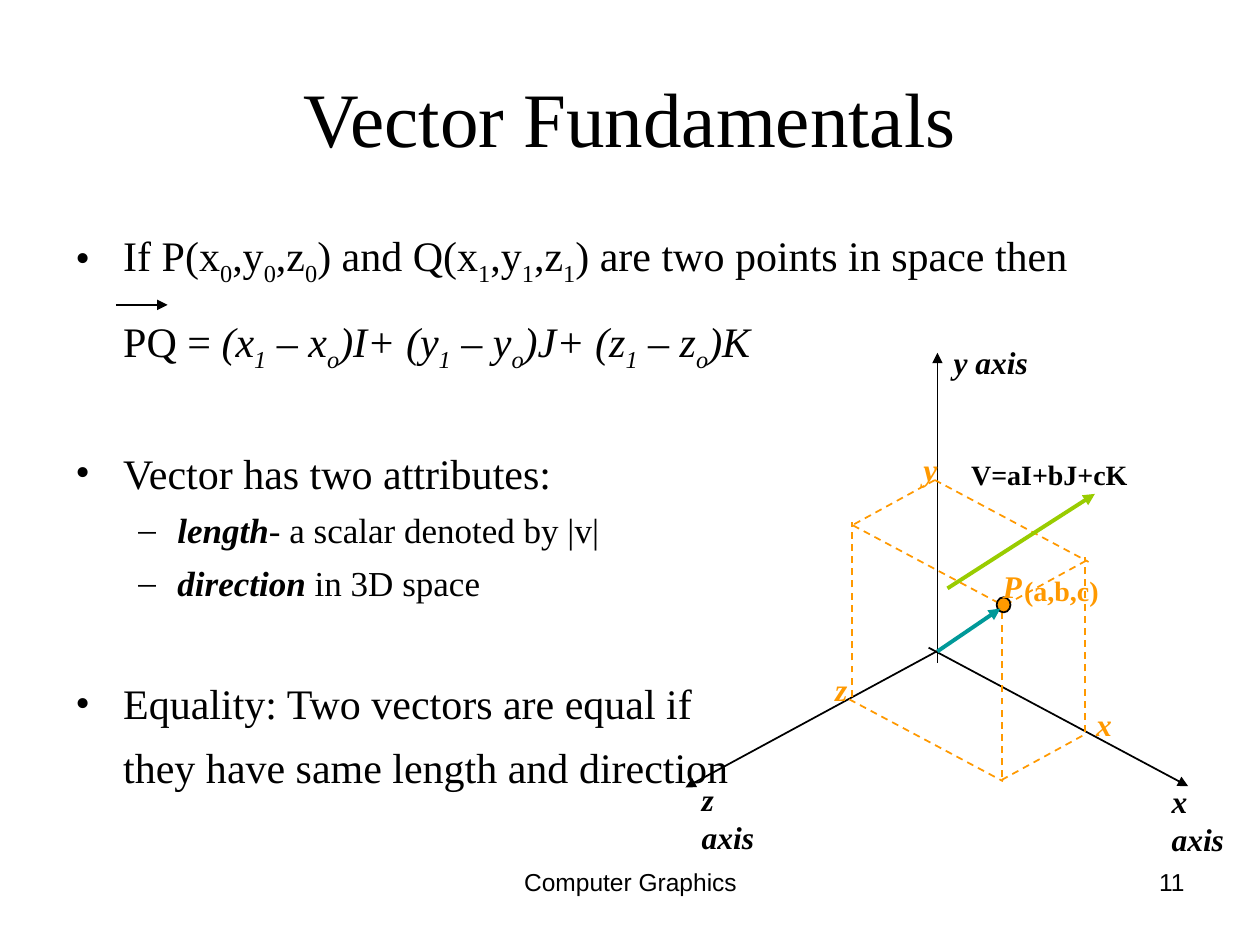
import pptx
import pptx.util
import pptx.dml.color
import pptx.enum.dml
import pptx.enum.shapes
import pptx.enum.text
import pptx.oxml.ns
from lxml import etree

PX = 9144  # EMU per px, 100 px to the inch
SERIF, SANS = "Times New Roman", "Arial"
BLACK, ORANGE, TEAL, GREEN = "000000", "FF9900", "009999", "99CC00"
ALIGN = pptx.enum.text.PP_ALIGN


def px(n):
    return pptx.util.Emu(n * PX)


def rgb(color):
    return pptx.dml.color.RGBColor.from_string(color)


def add_xml(parent, tag, **attrs):
    return etree.SubElement(parent, pptx.oxml.ns.qn(tag), attrs)


def add_runs(p, text, size, font=SERIF, color=BLACK, bold=False, italic=False):
    """Add text to p; the parts between underscores become subscripts."""
    for n, part in enumerate(text.split("_")):
        r = p.add_run()
        r.text = part
        r.font.size = pptx.util.Pt(size)
        r.font.name = font
        r.font.bold, r.font.italic = bold, italic
        r.font.color.rgb = rgb(color)
        if n % 2:
            r.font._element.set("baseline", "-25000")


def add_box(shapes, box, wrap=True):
    tf = shapes.add_textbox(*map(px, box)).text_frame
    tf.word_wrap = wrap
    return tf


def add_line(shapes, start, end, color=BLACK, width=1, dash=False, arrow=False):
    sp = shapes.add_connector(pptx.enum.shapes.MSO_CONNECTOR.STRAIGHT,
                              *map(px, (*start, *end)))
    sp.line.color.rgb = rgb(color)
    sp.line.width = pptx.util.Pt(width)
    if dash:
        sp.line.dash_style = pptx.enum.dml.MSO_LINE.DASH
    if arrow:
        add_xml(sp.line._get_or_add_ln(), "a:tailEnd", type="triangle")
    add_xml(sp._element.spPr, "a:effectLst")


def add_title(s, box):
    tf = add_box(s.shapes, box)
    tf.vertical_anchor = pptx.enum.text.MSO_ANCHOR.MIDDLE
    tf.paragraphs[0].alignment = ALIGN.CENTER
    add_runs(tf.paragraphs[0], "Vector Fundamentals", 44)


def add_body(s, box):
    # bullet, space before, size, margin, hanging indent, runs
    main, sub = (24, 38, 38), (20, 81, 31)
    it, bi = {"italic": True}, {"bold": True, "italic": True}
    lines = [
        ("•", 0, main, [("If P(x_0_,y_0_,z_0_) and Q(x_1_,y_1_,z_1_)"
                         " are two points in space then", {})]),
        ("", 15, main, [("PQ = ", {}),
                        ("(x_1_ – x_o_)I+ (y_1_ – y_o_)J+ (z_1_ – z_o_)K", it)]),
        ("•", 41, main, [("Vector has two attributes:", {})]),
        ("–", 5, sub, [("length", bi), ("- a scalar denoted by |v|", {})]),
        ("–", 5, sub, [("direction", bi), (" in 3D space", {})]),
        ("•", 41, main, [("Equality: Two vectors are equal if", {})]),
        ("", 6, main, [("they have same length and direction", {})]),
    ]
    tf = add_box(s.shapes, box)
    for n, (bullet, before, (size, margin, hang), runs) in enumerate(lines):
        p = tf.add_paragraph() if n else tf.paragraphs[0]
        pPr = p._p.get_or_add_pPr()
        pPr.set("marL", str(px(margin)))
        pPr.set("indent", str(px(-hang if bullet else 0)))
        if bullet:
            add_xml(add_xml(pPr, "a:buClr"), "a:srgbClr", val=BLACK)
            add_xml(pPr, "a:buFont", typeface=SERIF)
            add_xml(pPr, "a:buChar", char=bullet)
        p.line_spacing = 1.05
        p.space_before = pptx.util.Pt(before)
        for text, style in runs:
            add_runs(p, text, size, **style)


def add_diagram(s, left, top):
    """Draw the axes, the dashed box of P and both vectors."""
    shapes = s.shapes.add_group_shape().shapes

    def at(x, y):
        return left + x, top + y

    for start, end in [((200, 259), (200, 13)), ((193, 247), (399, 357)),
                       ((205, 247), (0, 358))]:
        add_line(shapes, at(*start), at(*end), arrow=True)

    # each edge direction of the box, with the points its edges start from
    edges = {
        (122, 65): [(130, 288), (133, 150), (198, 114)],
        (0, -139): [(132, 286), (251, 350), (317, 314)],
        (-64, 35): [(198, 114), (318, 178), (315, 317)],
    }
    for (dx, dy), starts in edges.items():
        for x, y in starts:
            add_line(shapes, at(x, y), at(x + dx, y + dy), ORANGE, dash=True)

    dot = shapes.add_shape(pptx.enum.shapes.MSO_SHAPE.OVAL,
                           *map(px, (*at(247, 207), 11, 12)))
    dot.shadow.inherit = False
    dot.fill.solid()
    dot.fill.fore_color.rgb = rgb(ORANGE)
    dot.line.color.rgb = rgb(BLACK)
    dot.line.width = pptx.util.Pt(1)

    add_line(shapes, at(200, 250), at(250, 216), TEAL, 2.25, arrow=True)
    add_line(shapes, at(208, 200), at(325, 125), GREEN, 2.25, arrow=True)

    labels = [
        ("x axis", 376, 349, 80, 18, BLACK), ("y axis", 203, 0, 79, 18, BLACK),
        ("z axis", 3, 347, 77, 18, BLACK), ("P", 242, 178, 35, 18, ORANGE),
        ("y", 179, 85, 31, 18, ORANGE), ("z", 109, 260, 29, 18, ORANGE),
        ("x", 316, 288, 32, 18, ORANGE),
        ("V=aI+bJ+cK", 217, 91, 144, 16, BLACK),
        ("(a,b,c)", 259, 183, 79, 16, ORANGE),
    ]
    for text, x, y, width, size, color in labels:
        tf = add_box(shapes, (*at(x, y), width, 40 if size == 18 else 37), wrap=False)
        add_runs(tf.paragraphs[0], text, size, color=color, bold=True,
                 italic=size == 18)


def add_footer(s, top, height):
    for text, left, width, align in [("Computer Graphics", 342, 317, ALIGN.CENTER),
                                     ("11", 717, 233, ALIGN.RIGHT)]:
        p = add_box(s.shapes, (left, top, width, height)).paragraphs[0]
        p.alignment = align
        add_runs(p, text, 14, SANS)


def main():
    prs = pptx.Presentation()
    prs.slide_width, prs.slide_height = px(1000), px(750)
    s = prs.slides.add_slide(prs.slide_layouts[6])
    add_title(s, (50, 30, 900, 125))
    add_body(s, (50, 175, 900, 483))
    add_diagram(s, 544, 267)
    add_line(s.shapes, (92, 242), (133, 242), width=0.75, arrow=True)
    add_footer(s, 683, 52)
    prs.save("out.pptx")


if __name__ == "__main__":
    main()
